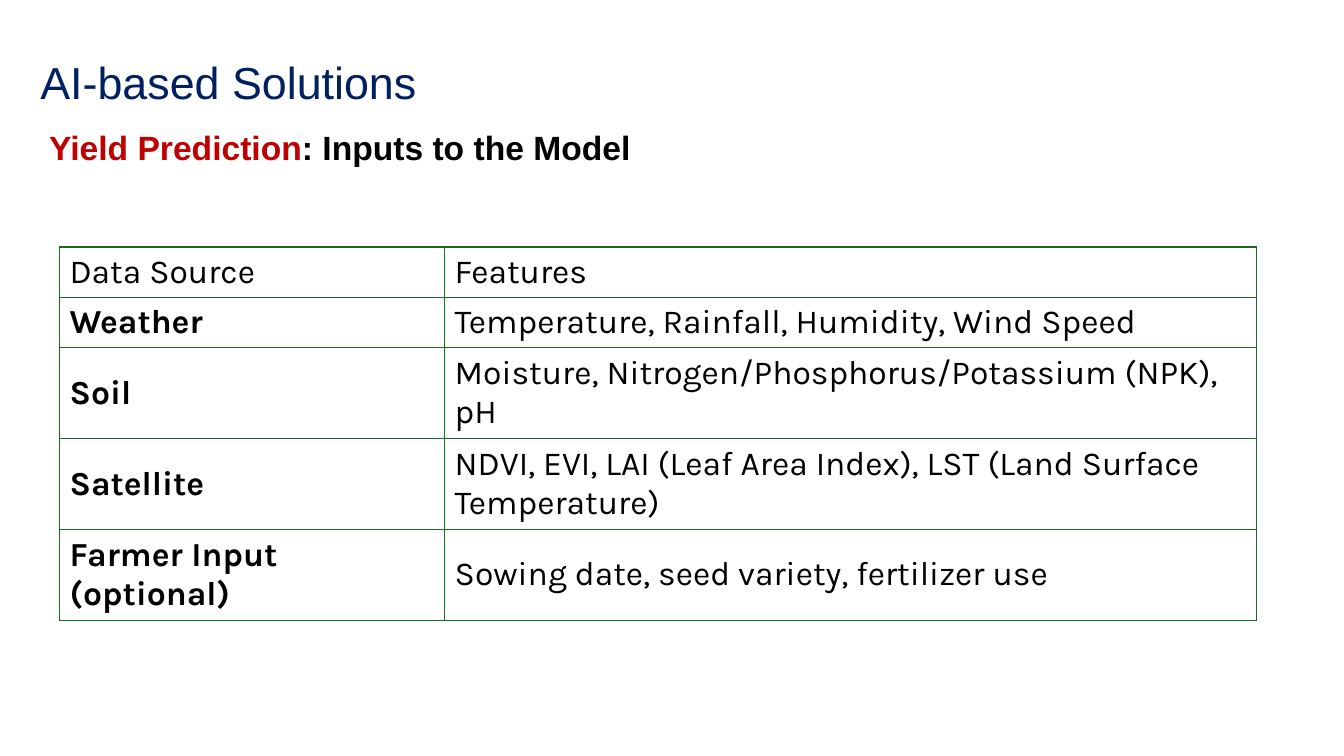
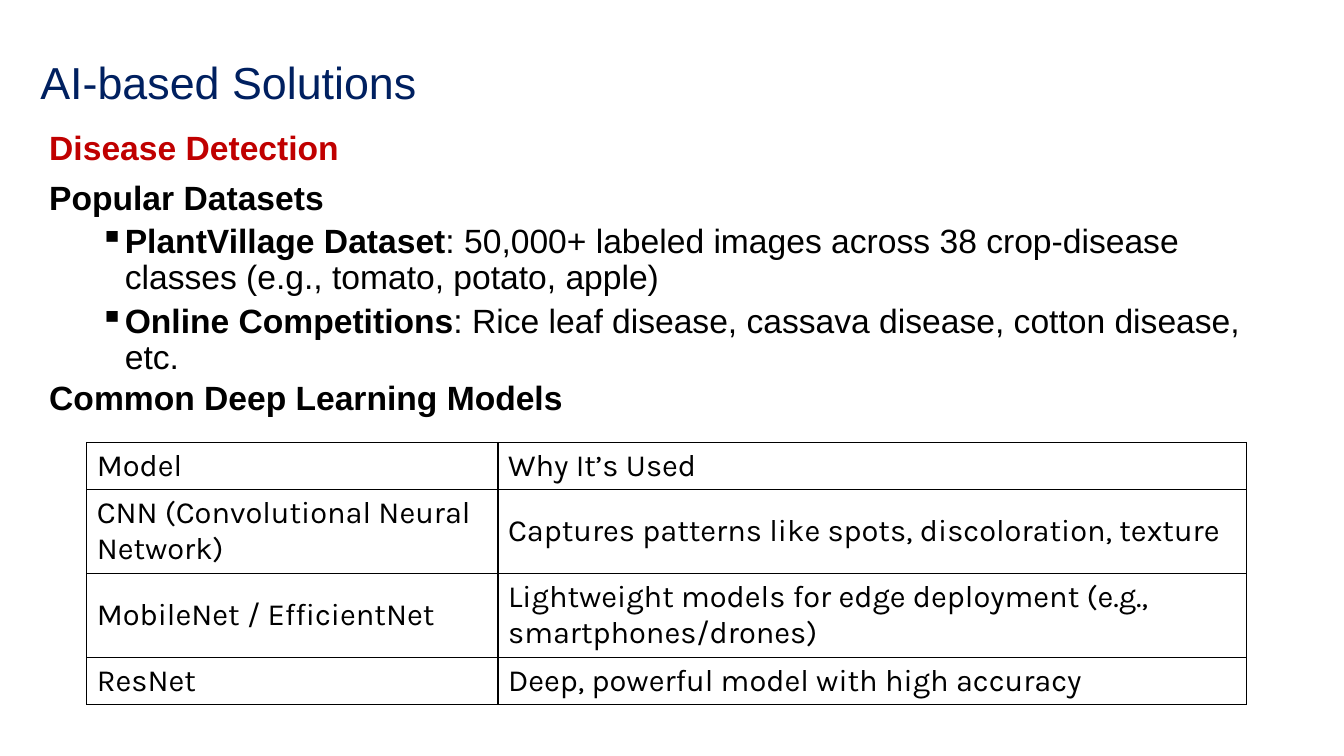
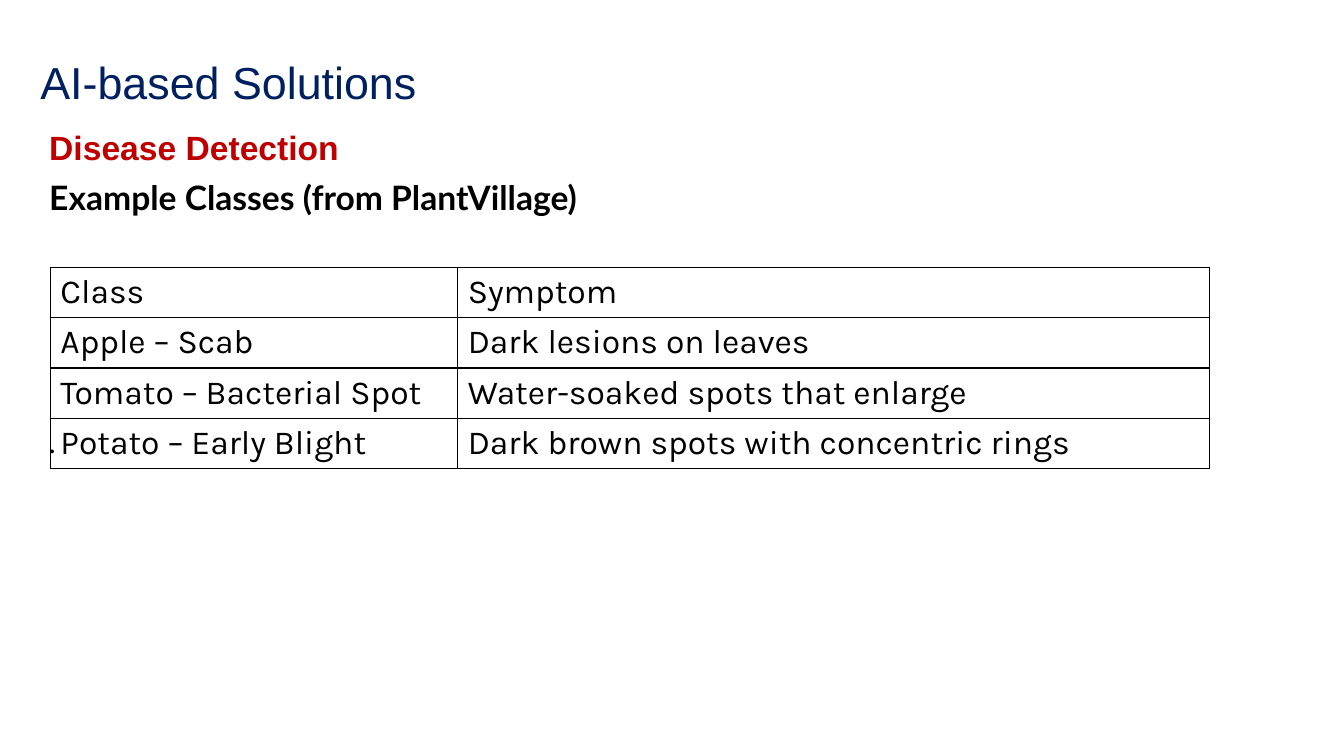
import pptx
import pptx.dml.color
import pptx.enum.text
import pptx.oxml
import pptx.oxml.ns
import pptx.util
from pptx.util import Inches, Pt

NAVY, RED, BLACK, GREEN = "002060", "C00000", "000000", "196B24"
BODY_SIZE = 24
TITLE = "AI-based Solutions"
TITLE_AREA = (0.3, 0.19, 12.68, 0.98)
BODY_AREA = (0.39, 1.25, 12.44, 5.65)

# Paragraph styles: line spacing, space before, left margin, first-line indent, bullet
STYLES = {
    "topic": (0.9, 0, 0, 0, None),
    "heading": (0.9, 10, 0, 0, None),
    "bullet": (0.9, 5, 0.75, -0.25, "▪"),
    "table heading": (1, 0, 0, 0, None),
    "class heading": (1, 7, 0, 0, None),
    "closing dot": (0.9, 148, 0, 0, None),
}

# Runs: text, colour, bold, font. Table rows: number of text lines, then cells.
SLIDES = [
    {
        "body": [
            ("topic", [("Yield Prediction", RED, True, "Arial"),
                       (": Inputs to the Model", BLACK, True, "Arial")]),
        ],
        "table": {
            "left": 0.59, "top": 2.45, "columns": (3.82, 8.05),
            "size": 24, "border": GREEN, "bold_labels": True,
            "rows": [
                (1, "Data Source", "Features"),
                (1, "Weather", "Temperature, Rainfall, Humidity, Wind Speed"),
                (2, "Soil", "Moisture, Nitrogen/Phosphorus/Potassium (NPK), pH"),
                (2, "Satellite", "NDVI, EVI, LAI (Leaf Area Index), LST (Land Surface Temperature)"),
                (2, "Farmer Input (optional)", "Sowing date, seed variety, fertilizer use"),
            ],
        },
    },
    {
        "body": [
            ("topic", [("Disease Detection", RED, True, "Arial")]),
            ("heading", [("Popular Datasets", BLACK, True, "Arial")]),
            ("bullet", [("PlantVillage Dataset", BLACK, True, "Arial"),
                        (": 50,000+ labeled images across 38 crop-disease classes "
                         "(e.g., tomato, potato, apple)", BLACK, False, "Arial")]),
            ("bullet", [("Online Competitions", BLACK, True, "Arial"),
                        (": Rice leaf disease, cassava disease, cotton disease, etc.",
                         BLACK, False, "Arial")]),
            ("table heading", [("Common Deep Learning Models", BLACK, True, "Arial")]),
        ],
        "table": {
            "left": 0.86, "top": 4.39, "columns": (4.08, 7.42),
            "size": 22, "border": BLACK, "bold_labels": False,
            "rows": [
                (1, "Model", "Why It’s Used"),
                (2, "CNN (Convolutional Neural Network)",
                 "Captures patterns like spots, discoloration, texture"),
                (2, "MobileNet / EfficientNet",
                 "Lightweight models for edge deployment (e.g., smartphones/drones)"),
                (1, "ResNet", "Deep, powerful model with high accuracy"),
            ],
        },
    },
    {
        "body": [
            ("topic", [("Disease Detection", RED, True, "Arial")]),
            ("class heading", [("Example Classes (from PlantVillage)", BLACK, True, "Lato")]),
            ("closing dot", [(".", BLACK, False, "Karla")]),
        ],
        "table": {
            "left": 0.5, "top": 2.65, "columns": (4.04, 7.46),
            "size": 24, "border": BLACK, "bold_labels": False,
            "rows": [
                (1, "Class", "Symptom"),
                (1, "Apple – Scab", "Dark lesions on leaves"),
                (1, "Tomato – Bacterial Spot", "Water-soaked spots that enlarge"),
                (1, "Potato – Early Blight", "Dark brown spots with concentric rings"),
            ],
        },
    },
]


def rgb(value):
    return pptx.dml.color.RGBColor.from_string(value)


def add_run(paragraph, text, color, bold, font, size):
    run = paragraph.add_run()
    run.text = text
    run.font.name, run.font.size, run.font.bold = font, Pt(size), bold
    run.font.color.rgb = rgb(color)


def add_title(slide):
    title = slide.shapes.title
    title.left, title.top, title.width, title.height = map(Inches, TITLE_AREA)
    frame = title.text_frame
    frame.auto_size = pptx.enum.text.MSO_AUTO_SIZE.NONE
    frame.vertical_anchor = pptx.enum.text.MSO_ANCHOR.MIDDLE
    paragraph = frame.paragraphs[0]
    paragraph.alignment = pptx.enum.text.PP_ALIGN.LEFT
    paragraph.line_spacing = 1.5
    add_run(paragraph, TITLE, NAVY, False, "Arial", 32)


def add_body(slide, paragraphs):
    frame = slide.shapes.add_textbox(*map(Inches, BODY_AREA)).text_frame
    frame.word_wrap = True
    for index, (style, runs) in enumerate(paragraphs):
        paragraph = frame.add_paragraph() if index else frame.paragraphs[0]
        spacing, before, margin, indent, bullet = STYLES[style]
        if bullet:
            properties = paragraph._p.get_or_add_pPr()
            properties.set("marL", str(Inches(margin)))
            properties.set("indent", str(Inches(indent)))
            mark = pptx.oxml.parse_xml(
                f'<a:buChar {pptx.oxml.ns.nsdecls("a")} char="{bullet}"/>')
            properties.append(mark)
        paragraph.line_spacing = spacing
        paragraph.space_before = Pt(before)
        for run in runs:
            add_run(paragraph, *run, BODY_SIZE)


def add_borders(cell, color):
    properties = cell._tc.get_or_add_tcPr()
    for side in "LRTB":
        properties.append(pptx.oxml.parse_xml(
            f'<a:ln{side} {pptx.oxml.ns.nsdecls("a")} w="{Pt(1)}">'
            f'<a:solidFill><a:srgbClr val="{color}"/></a:solidFill></a:ln{side}>'))


def add_table(slide, left, top, columns, size, border, bold_labels, rows):
    # Each row holds its text lines plus the cell's top and bottom margins
    heights = [Inches(round(0.1 + lines * size * 1.17 / 72, 2)) for lines, *_ in rows]
    table = slide.shapes.add_table(
        len(rows), len(columns), Inches(left), Inches(top),
        Inches(sum(columns)), sum(heights)).table
    table.first_row = table.horz_banding = False
    for column, width in zip(table.columns, columns):
        column.width = Inches(width)
    for r, (_, *texts) in enumerate(rows):
        table.rows[r].height = heights[r]
        for c, text in enumerate(texts):
            cell = table.cell(r, c)
            add_borders(cell, border)
            cell.fill.background()
            cell.vertical_anchor = pptx.enum.text.MSO_ANCHOR.MIDDLE
            bold = bold_labels and r > 0 and c == 0
            add_run(cell.text_frame.paragraphs[0], text, BLACK, bold, "Karla", size)


def main():
    deck = pptx.Presentation()
    deck.slide_width, deck.slide_height = Inches(13.33), Inches(7.5)
    title_only = deck.slide_layouts[5]
    for content in SLIDES:
        slide = deck.slides.add_slide(title_only)
        add_title(slide)
        add_body(slide, content["body"])
        add_table(slide, **content["table"])
    deck.save("out.pptx")


if __name__ == "__main__":
    main()
